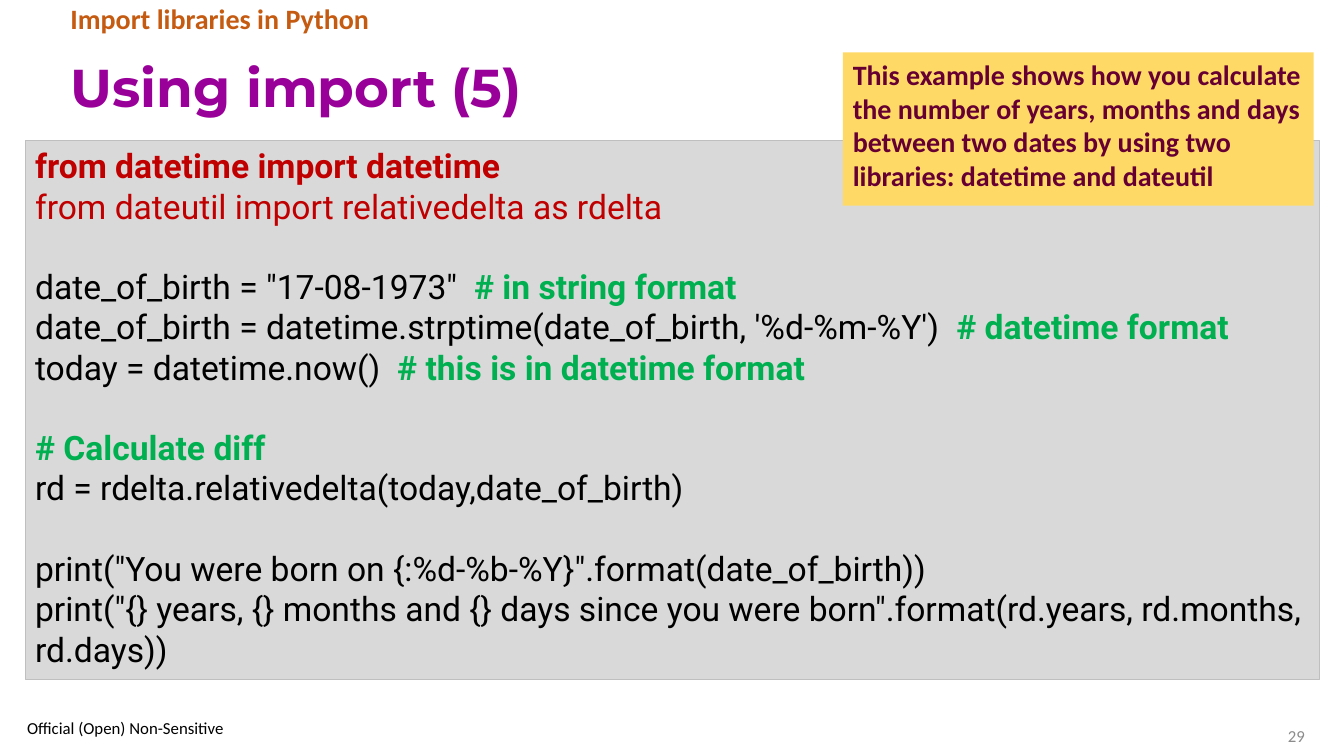
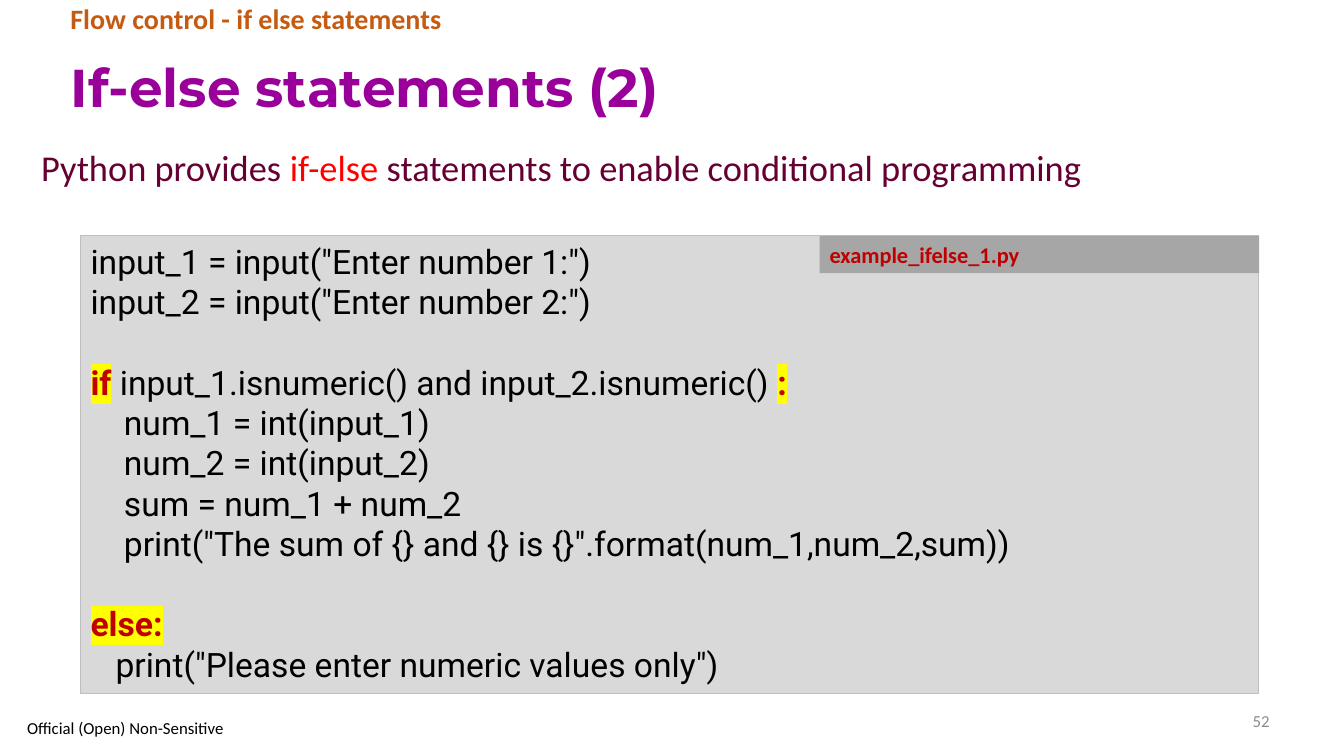
"""Build two Python lesson slides with code panels."""
from lxml import etree
from pptx import Presentation
from pptx import util as u
from pptx.dml.color import RGBColor
from pptx.enum import shapes, text
from pptx.oxml.ns import qn

BLACK = RGBColor(0x00, 0x00, 0x00)
PURPLE = RGBColor(0x99, 0x00, 0x99)
PLUM = RGBColor(0x66, 0x00, 0x33)
ORANGE = RGBColor(0xC5, 0x5A, 0x11)
CRIMSON = RGBColor(0xC0, 0x00, 0x00)
RED = RGBColor(0xFF, 0x00, 0x00)
GREEN = RGBColor(0x00, 0xB0, 0x50)
YELLOW = RGBColor(0xFF, 0xFF, 0x00)
AMBER = RGBColor(0xFF, 0xD9, 0x66)
PANEL = RGBColor(0xD9, 0xD9, 0xD9)
BORDER = RGBColor(0xBF, 0xBF, 0xBF)
TAB = RGBColor(0xA6, 0xA6, 0xA6)
MUTED = RGBColor(0x8C, 0x8C, 0x8C)

COMMENT = {"color": GREEN, "bold": True}
IMPORT = {"color": CRIMSON}
STRONG_IMPORT = {"color": CRIMSON, "bold": True}
KEYWORD = {"color": CRIMSON, "bold": True, "highlight": YELLOW}

DATE_CODE = [
    [("from datetime import datetime", STRONG_IMPORT)],
    [("from dateutil import relativedelta as rdelta", IMPORT)],
    [],
    [("date_of_birth = \"17-08-1973\"  ", {}), ("# in string format", COMMENT)],
    [("date_of_birth = datetime.strptime(date_of_birth, '%d-%m-%Y')  ", {}),
     ("# datetime format", COMMENT)],
    [("today = datetime.now()  ", {}), ("# this is in datetime format", COMMENT)],
    [],
    [("# Calculate diff", COMMENT)],
    [("rd = rdelta.relativedelta(today,date_of_birth)", {})],
    [],
    [("print(\"You were born on {:%d-%b-%Y}\".format(date_of_birth))", {})],
    [("print(\"{} years, {} months and {} days since you were born\""
      ".format(rd.years, rd.months, rd.days))", {})],
]

IF_ELSE_CODE = [
    [("input_1 = input(\"Enter number 1:\")", {})],
    [("input_2 = input(\"Enter number 2:\")", {})],
    [],
    [("if", KEYWORD), (" input_1.isnumeric() and input_2.isnumeric() ", {}),
     (":", KEYWORD)],
    [("    num_1 = int(input_1)", {})],
    [("    num_2 = int(input_2)", {})],
    [("    sum = num_1 + num_2", {})],
    [("    print(\"The sum of {} and {} is {}\".format(num_1,num_2,sum))", {})],
    [],
    [("else:", KEYWORD)],
    [("   print(\"Please enter numeric values only\")", {})],
]


def px(length):
    return u.Emu(length * 9144)


class Lesson:
    BODY_FONT = "Calibri"
    TITLE_FONT = "Montserrat"
    CODE_FONT = "Roboto"
    CODE_SIZE = 24
    CODE_LINE = u.Pt(28.7)

    def __init__(self):
        self.deck = Presentation()
        self.deck.slide_width, self.deck.slide_height = px(1333), px(750)
        self.page = None

    def start_page(self, topic, title, number, number_left, number_top):
        self.page = self.deck.slides.add_slide(self.deck.slide_layouts[5])
        heading = self.page.shapes.title
        heading.left, heading.top, heading.width, heading.height = map(
            px, (60, 41, 1209, 97))
        frame = heading.text_frame
        frame.auto_size = text.MSO_AUTO_SIZE.NONE
        frame.vertical_anchor = text.MSO_ANCHOR.MIDDLE
        para = frame.paragraphs[0]
        para.alignment = text.PP_ALIGN.LEFT
        para.line_spacing = 0.9
        self.span(para, title, 38, PURPLE, bold=True, font=self.TITLE_FONT)
        self.label((60, 0, 1034, 41), [(topic, {"bold": True})], 20,
                   ORANGE).line_spacing = 0.9
        middle = text.MSO_ANCHOR.MIDDLE
        self.label((number_left, number_top, 327, 40), [(number, {})], 12, MUTED,
                   middle).alignment = text.PP_ALIGN.RIGHT
        self.label((17, 709, 224, 26), [("Official (Open) Non-Sensitive", {})], 12,
                   BLACK, middle)

    def span(self, para, words, size, color, bold=False, font=BODY_FONT,
             highlight=None):
        run = para.add_run()
        run.text = words
        run.font.size = u.Pt(size)
        run.font.name = font
        run.font.bold = bold
        run.font.color.rgb = color
        if highlight is not None:
            mark = etree.Element(qn("a:highlight"))
            etree.SubElement(mark, qn("a:srgbClr")).set("val", str(highlight))
            run.font._element.find(qn("a:solidFill")).addnext(mark)

    def spans(self, para, parts, size, color, font=BODY_FONT):
        for words, style in parts:
            self.span(para, words, size, **{"color": color, "font": font, **style})

    def label(self, place, parts, size, color, anchor=text.MSO_ANCHOR.TOP):
        box = self.page.shapes.add_textbox(*map(px, place))
        box.text_frame.word_wrap = True
        box.text_frame.vertical_anchor = anchor
        para = box.text_frame.paragraphs[0]
        self.spans(para, parts, size, color)
        return para

    def panel(self, place, fill, border=None):
        box = self.page.shapes.add_shape(shapes.MSO_SHAPE.RECTANGLE, *map(px, place))
        box.shadow.inherit = False
        box.fill.solid()
        box.fill.fore_color.rgb = fill
        if border is None:
            box.line.fill.background()
        else:
            box.line.color.rgb = border
            box.line.width = u.Pt(0.75)
        frame = box.text_frame
        frame.word_wrap = True
        frame.vertical_anchor = text.MSO_ANCHOR.TOP
        frame.paragraphs[0].alignment = text.PP_ALIGN.LEFT
        return frame

    def note(self, place, words, size, color, fill):
        para = self.panel(place, fill).paragraphs[0]
        self.span(para, words, size, color, bold=True)

    def code(self, place, lines):
        frame = self.panel(place, PANEL, BORDER)
        para = frame.paragraphs[0]
        for index, line in enumerate(lines):
            if not line:
                continue
            if index:
                para = frame.add_paragraph()
                para.alignment = text.PP_ALIGN.LEFT
                if not lines[index - 1]:
                    para.space_before = self.CODE_LINE
            self.spans(para, line, self.CODE_SIZE, BLACK, self.CODE_FONT)


def main():
    lesson = Lesson()

    lesson.start_page("Import libraries in Python", "Using import (5)", "29", 977, 710)
    lesson.code((25, 139, 1284, 535), DATE_CODE)
    lesson.note((836, 52, 467, 152),
                "This example shows how you calculate the number of years, months "
                "and days between two dates by using two libraries: datetime and "
                "dateutil", 20, PLUM, AMBER)

    lesson.start_page("Flow control - if else statements", "If-else statements (2)",
                      "52", 942, 695)
    lesson.label((31, 139, 1100, 54),
                 [("Python provides ", {}), ("if-else", {"color": RED}),
                  (" statements to enable conditional programming", {})], 26, PLUM)
    lesson.code((80, 234, 1168, 454), IF_ELSE_CODE)
    lesson.note((813, 234, 436, 37), "example_ifelse_1.py", 16, CRIMSON, TAB)

    lesson.deck.save("out.pptx")


if __name__ == "__main__":
    main()
